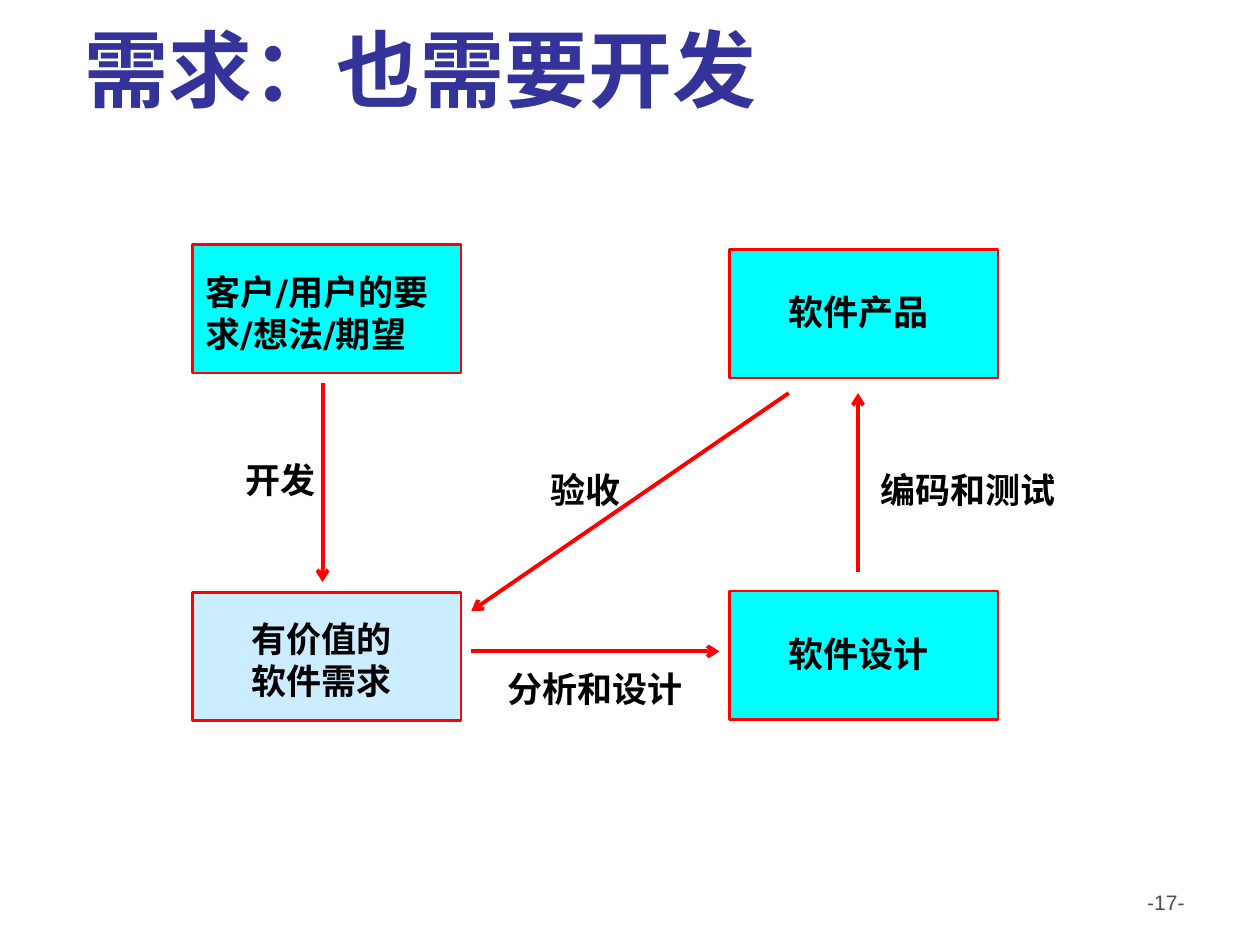
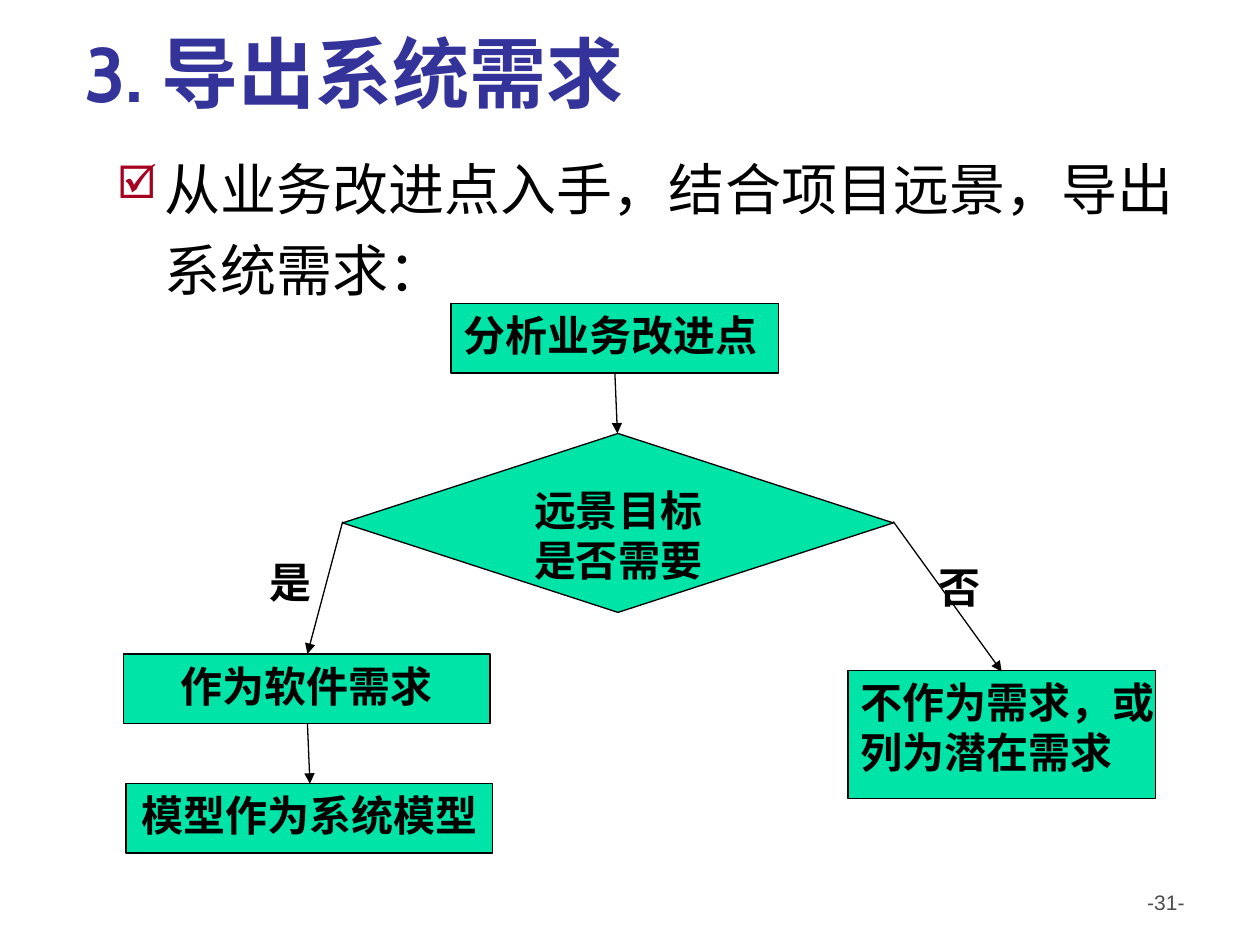
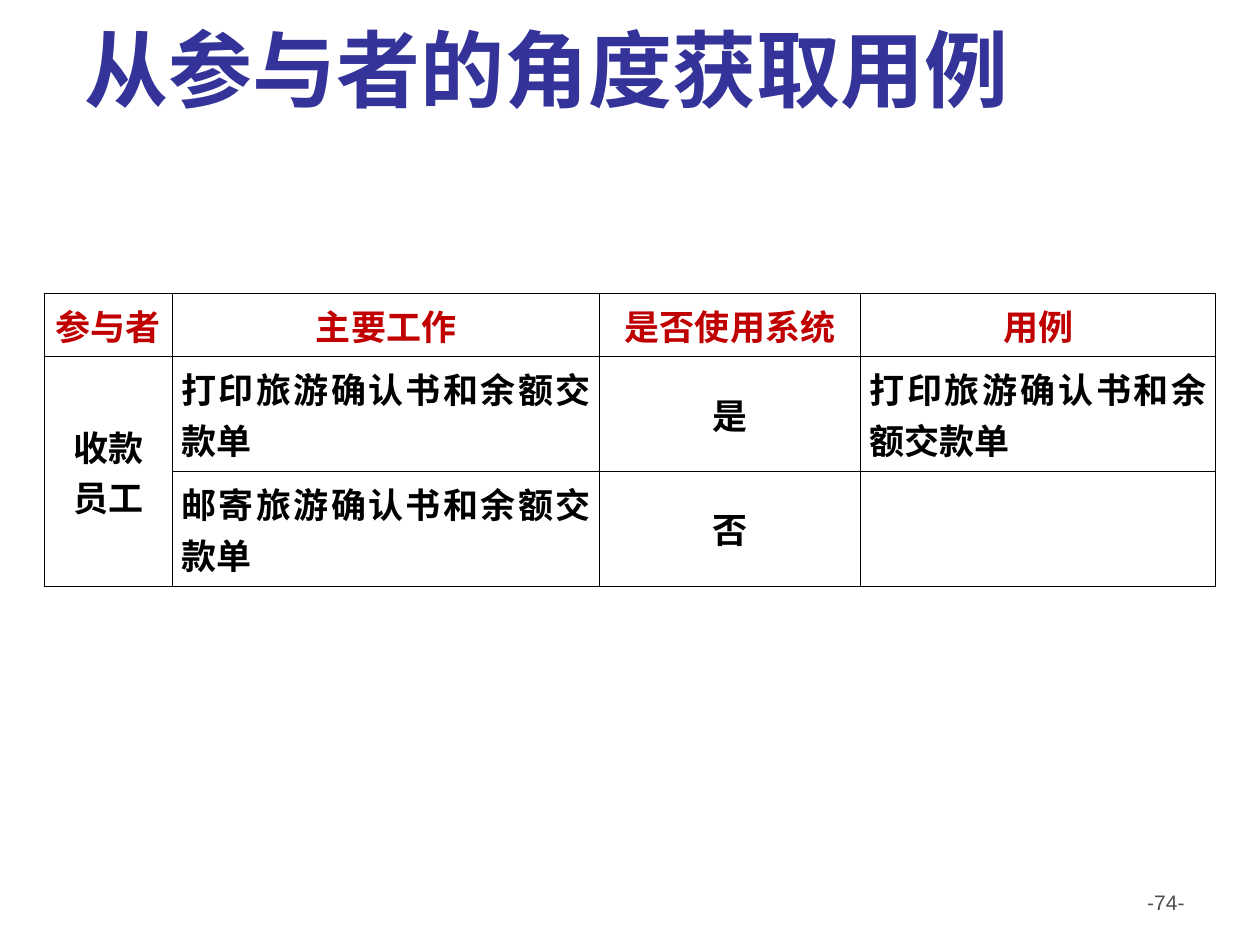
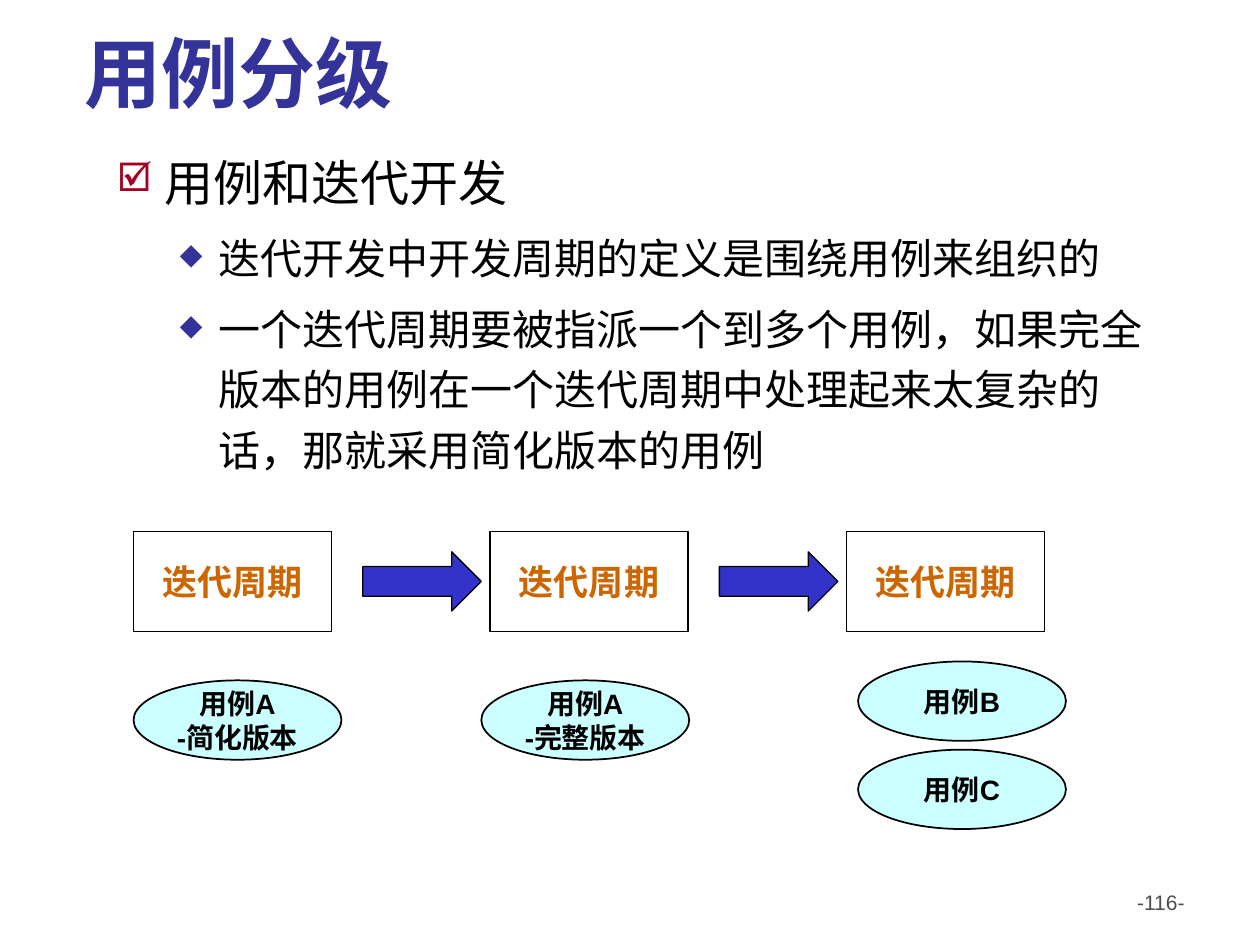
from dataclasses import dataclass

import lxml.etree
import pptx
import pptx.dml.color
import pptx.enum.shapes
import pptx.enum.text
import pptx.oxml.ns
import pptx.presentation
import pptx.slide
import pptx.table
import pptx.text.text
import pptx.util

Inches = pptx.util.Inches
Pt = pptx.util.Pt
RGBColor = pptx.dml.color.RGBColor
MSO_SHAPE = pptx.enum.shapes.MSO_SHAPE
PP_ALIGN = pptx.enum.text.PP_ALIGN
MSO_ANCHOR = pptx.enum.text.MSO_ANCHOR
MSO_AUTO_SIZE = pptx.enum.text.MSO_AUTO_SIZE
qn = pptx.oxml.ns.qn

BLACK = RGBColor(0x00, 0x00, 0x00)
WHITE = RGBColor(0xFF, 0xFF, 0xFF)
RED = RGBColor(0xFF, 0x00, 0x00)
NAVY = RGBColor(0x33, 0x33, 0x99)
GREY = RGBColor(0x4D, 0x4D, 0x4D)
CYAN = RGBColor(0x00, 0xFF, 0xFF)
PALE_BLUE = RGBColor(0xCC, 0xEC, 0xFF)
GREEN = RGBColor(0x00, 0xE4, 0xA8)
CRIMSON = RGBColor(0xA5, 0x00, 0x21)
DARK_RED = RGBColor(0xC0, 0x00, 0x00)
ORANGE = RGBColor(0xCC, 0x66, 0x00)
ARROW_BLUE = RGBColor(0x33, 0x33, 0xCC)
PALE_CYAN = RGBColor(0xCC, 0xFF, 0xFF)

CABIN, ARIAL, NOTO = "Cabin", "Arial", "Noto Sans CJK SC"
LEFT, CENTER, RIGHT, JUSTIFY = PP_ALIGN.LEFT, PP_ALIGN.CENTER, PP_ALIGN.RIGHT, PP_ALIGN.JUSTIFY
TOP, MIDDLE, BOTTOM = MSO_ANCHOR.TOP, MSO_ANCHOR.MIDDLE, MSO_ANCHOR.BOTTOM


@dataclass(frozen=True)
class TextStyle:
    size: float
    name: str = CABIN
    asian: str = CABIN
    color: RGBColor = BLACK
    bold: bool = True
    before: float = 0


@dataclass(frozen=True)
class ShapeStyle:
    kind: MSO_SHAPE
    fill: RGBColor
    line: RGBColor
    width: float


@dataclass(frozen=True)
class Node:
    at: tuple[float, float, float, float]
    text: str
    align: PP_ALIGN = CENTER


@dataclass(frozen=True)
class Arrow:
    start: tuple[float, float]
    end: tuple[float, float]


@dataclass(frozen=True)
class ArrowStyle:
    color: RGBColor
    width: float
    head: str


@dataclass(frozen=True)
class Bullet:
    text: str
    size: float
    before: float
    char: str
    color: RGBColor
    percent: int
    left: float
    hang: float
    level: int = 0


FOOTER = TextStyle(12, ARIAL, color=GREY, bold=False)
DIAGRAM = TextStyle(20, "DejaVu Sans", before=12.5)
FLOW = TextStyle(24)
CYCLE = TextStyle(20, ARIAL, ARIAL, ORANGE)
CASE = TextStyle(16, ARIAL, ARIAL)
HEADER = TextStyle(20, "Times New Roman", NOTO, DARK_RED)
CELL = TextStyle(20, "Times New Roman", NOTO)

RED_ARROW = ArrowStyle(RED, 2.25, "arrow")
BLACK_ARROW = ArrowStyle(BLACK, 0.75, "triangle")
FLOW_BOX = ShapeStyle(MSO_SHAPE.RECTANGLE, GREEN, BLACK, 0.75)
FLOW_DECISION = ShapeStyle(MSO_SHAPE.DIAMOND, GREEN, BLACK, 0.75)
CYCLE_BOX = ShapeStyle(MSO_SHAPE.RECTANGLE, WHITE, BLACK, 0.75)
CYCLE_ARROW = ShapeStyle(MSO_SHAPE.RIGHT_ARROW, ARROW_BLUE, BLACK, 0.75)
CASE_OVAL = ShapeStyle(MSO_SHAPE.OVAL, PALE_CYAN, BLACK, 1)


def set_all(obj: object, values: dict) -> None:
    for key, value in values.items():
        setattr(obj, key, value)


def box(at: tuple[float, float, float, float]) -> list[int]:
    return [Inches(v) for v in at]


def add_xml(parent, tag: str, **attrs: str):
    return lxml.etree.SubElement(parent, qn(tag), attrs)


def style_paragraph(p, style: TextStyle, align: PP_ALIGN) -> None:
    set_all(p, {"alignment": align, "space_before": Pt(style.before)})
    for r in p.runs:
        set_all(r.font, {"size": Pt(style.size), "name": style.name, "bold": style.bold})
        r.font.color.rgb = style.color
        add_xml(r.font._element, "a:ea", typeface=style.asian)


def write(tf: pptx.text.text.TextFrame, text: str, style: TextStyle,
          align: PP_ALIGN = LEFT, **frame) -> None:
    set_all(tf, frame)
    tf.text = text
    for p in tf.paragraphs:
        style_paragraph(p, style, align)


def add_slide(prs: pptx.presentation.Presentation, title: str, size: float,
              page: int) -> pptx.slide.Slide:
    s = prs.slides.add_slide(prs.slide_layouts[5])
    sp = s.shapes.title
    left, top, width, height = box((0.57, 0.28, 8.68, 0.71))
    set_all(sp, {"left": left, "top": top, "width": width, "height": height})
    write(sp.text_frame, title, TextStyle(size, color=NAVY), word_wrap=True,
          vertical_anchor=BOTTOM, auto_size=MSO_AUTO_SIZE.NONE)
    add_label(s, Node((7.17, 7.01, 2.33, 0.52), f"-{page}-", RIGHT), FOOTER)
    return s


def add_label(s: pptx.slide.Slide, node: Node, style: TextStyle, wrap: bool = True) -> None:
    sp = s.shapes.add_textbox(*box(node.at))
    write(sp.text_frame, node.text, style, node.align, word_wrap=wrap)


def add_node(s: pptx.slide.Slide, node: Node, look: ShapeStyle,
             style: TextStyle, anchor: MSO_ANCHOR = MIDDLE) -> None:
    sp = s.shapes.add_shape(look.kind, *box(node.at))
    sp.shadow.inherit = False
    sp.fill.solid()
    sp.fill.fore_color.rgb = look.fill
    sp.line.color.rgb = look.line
    sp.line.width = Pt(look.width)
    if node.text:
        write(sp.text_frame, node.text, style, node.align,
              word_wrap=False, vertical_anchor=anchor)


def add_arrow(s: pptx.slide.Slide, arrow: Arrow, look: ArrowStyle) -> None:
    sp = s.shapes.add_connector(pptx.enum.shapes.MSO_CONNECTOR.STRAIGHT,
                                *box(arrow.start + arrow.end))
    sp.line.color.rgb = look.color
    sp.line.width = Pt(look.width)
    add_xml(sp.line._get_or_add_ln(), "a:tailEnd", type=look.head)
    add_xml(sp._element.spPr, "a:effectLst")


def add_bullets(s: pptx.slide.Slide, height: float, bullets: list[Bullet]) -> None:
    tf = s.shapes.add_textbox(*box((0.83, 1.07, 8.66, height))).text_frame
    tf.word_wrap = True
    tf.text = "\n".join(b.text for b in bullets)
    for p, b in zip(tf.paragraphs, bullets):
        style_paragraph(p, TextStyle(b.size, NOTO, bold=False, before=b.before), LEFT)
        set_all(p, {"level": b.level, "line_spacing": 1.2})
        pPr = p._p.get_or_add_pPr()
        pPr.set("marL", str(Inches(b.left)))
        pPr.set("indent", str(-Inches(b.hang)))
        pPr.set("hangingPunct", "0")
        add_xml(add_xml(pPr, "a:buClr"), "a:srgbClr", val=str(b.color))
        add_xml(pPr, "a:buSzPct", val=str(b.percent * 1000))
        add_xml(pPr, "a:buChar", char=b.char)


def check_bullet(text: str, size: float, before: float) -> Bullet:
    return Bullet(text, size, before, "☑", CRIMSON, 80, 0.38, 0.38)


def diamond_bullet(text: str) -> Bullet:
    return Bullet(text, 24, 6, "◆", NAVY, 70, 0.81, 0.31, 1)


def border_cell(cell: pptx.table._Cell) -> None:
    tcPr = cell._tc.get_or_add_tcPr()
    for i, side in enumerate("LRTB"):
        ln = add_xml(tcPr, f"a:ln{side}", w=str(Pt(0.45)))
        add_xml(add_xml(ln, "a:solidFill"), "a:srgbClr", val=str(BLACK))
        tcPr.insert(i, ln)


def build_development(prs: pptx.presentation.Presentation) -> None:
    s = add_slide(prs, "需求：也需要开发", 48, 17)
    boxes = [
        (1.53, 1.94, CYAN, Node((1.53, 2.1, 2.21, 0.77), "客户/用户的要求/想法/期望", LEFT)),
        (5.79, 4.69, CYAN, Node((5.79, 4.97, 2.05, 0.44), "软件设计")),
        (5.79, 1.98, CYAN, Node((5.79, 2.26, 2.05, 0.44), "软件产品")),
        (1.53, 4.7, PALE_BLUE, Node((1.53, 4.85, 2.05, 0.77), "有价值的\v软件需求")),
    ]
    for left, top, fill, label in boxes:
        look = ShapeStyle(MSO_SHAPE.RECTANGLE, fill, RED, 1.5)
        add_node(s, Node((left, top, 2.13, 1.02), ""), look, DIAGRAM)
        add_label(s, label, DIAGRAM)
    steps = [
        (Arrow((2.56, 3.04), (2.56, 4.62)), Node((1.85, 3.59, 0.79, 0.44), "开发", LEFT)),
        (Arrow((6.81, 4.54), (6.81, 3.12)), Node((6.89, 3.67, 1.65, 0.44), "编码和测试", LEFT)),
        (Arrow((6.26, 3.12), (3.74, 4.85)), Node((4.21, 3.67, 0.87, 0.44), "验收")),
        (Arrow((3.74, 5.17), (5.71, 5.17)), Node((3.9, 5.25, 1.65, 0.44), "分析和设计")),
    ]
    for arrow, label in steps:
        add_arrow(s, arrow, RED_ARROW)
        add_label(s, label, DIAGRAM)


def build_derivation(prs: pptx.presentation.Presentation) -> None:
    s = add_slide(prs, "3. 导出系统需求", 44, 31)
    add_bullets(s, 1.5, [check_bullet("从业务改进点入手，结合项目远景，导出系统需求：", 32, 8)])
    add_node(s, Node((2.72, 3.44, 4.37, 1.42), "远景目标\n是否需要"), FLOW_DECISION, FLOW, TOP)
    for node in [
        Node((3.58, 2.41, 2.6, 0.55), "分析业务改进点", LEFT),
        Node((0.98, 5.19, 2.91, 0.55), "作为软件需求"),
        Node((1, 6.22, 2.91, 0.55), "模型作为系统模型"),
        Node((6.73, 5.32, 2.44, 1.02), "不作为需求，或\n列为潜在需求", LEFT),
    ]:
        add_node(s, node, FLOW_BOX, FLOW, TOP)
    for arrow in [
        Arrow((4.88, 2.96), (4.9, 3.44)),
        Arrow((2.72, 4.14), (2.44, 5.19)),
        Arrow((2.44, 5.74), (2.46, 6.22)),
        Arrow((7.09, 4.14), (7.95, 5.33)),
    ]:
        add_arrow(s, arrow, BLACK_ARROW)
    for left, top, answer in [(2.04, 4.37, "是"), (7.35, 4.41, "否")]:
        add_label(s, Node((left, top, 0.53, 0.5), answer, LEFT), FLOW, wrap=False)


def build_use_case_table(prs: pptx.presentation.Presentation) -> None:
    s = add_slide(prs, "从参与者的角度获取用例", 48, 74)
    rows = [
        ["参与者", "主要工作", "是否使用系统", "用例"],
        ["收款\v员工", "打印旅游确认书和余额交款单", "是", "打印旅游确认书和余额交款单"],
        ["", "邮寄旅游确认书和余额交款单", "否", ""],
    ]
    widths, heights = (1.02, 3.39, 2.07, 2.82), (0.5, 0.91, 0.91)
    at = (0.35, 2.33, sum(widths), sum(heights))
    table = s.shapes.add_table(len(heights), len(widths), *box(at)).table
    set_all(table, {"first_row": False, "horz_banding": False})
    for col, width in zip(table.columns, widths):
        col.width = Inches(width)
    for row, height in zip(table.rows, heights):
        row.height = Inches(height)
    table.cell(1, 0).merge(table.cell(2, 0))
    for i, texts in enumerate(rows):
        for j, text in enumerate(texts):
            cell = table.cell(i, j)
            set_all(cell, {"margin_left": Inches(0.07), "margin_right": Inches(0.07),
                           "vertical_anchor": TOP if i == 0 or j == 1 else MIDDLE})
            cell.fill.background()
            border_cell(cell)
            if text:
                write(cell.text_frame, text, CELL if i else HEADER,
                      JUSTIFY if i and j in (1, 3) else CENTER)


def build_grading(prs: pptx.presentation.Presentation) -> None:
    s = add_slide(prs, "用例分级", 44, 116)
    add_bullets(s, 2.85, [
        check_bullet("用例和迭代开发", 28, 7),
        diamond_bullet("迭代开发中开发周期的定义是围绕用例来组织的"),
        diamond_bullet("一个迭代周期要被指派一个到多个用例，如果完全版本的用例在一个迭代周期中"
                       "处理起来太复杂的话，那就采用简化版本的用例"),
    ])
    pitch = 2.83
    for i in range(3):
        add_node(s, Node((1.06 + i * pitch, 4.22, 1.57, 0.79), "迭代周期"), CYCLE_BOX, CYCLE)
    for i in range(2):
        add_node(s, Node((2.88 + i * pitch, 4.38, 0.94, 0.47), ""), CYCLE_ARROW, CYCLE)
    for left, top, text in [
        (1.06, 5.4, "用例A\n-简化版本"),
        (3.82, 5.4, "用例A\n-完整版本"),
        (6.81, 5.25, "用例B"),
        (6.81, 5.95, "用例C"),
    ]:
        add_node(s, Node((left, top, 1.65, 0.63), text), CASE_OVAL, CASE)


def main() -> None:
    prs = pptx.Presentation()
    set_all(prs, {"slide_width": Inches(10), "slide_height": Inches(7.5)})
    for build in (build_development, build_derivation, build_use_case_table, build_grading):
        build(prs)
    prs.save("out.pptx")


if __name__ == "__main__":
    main()
